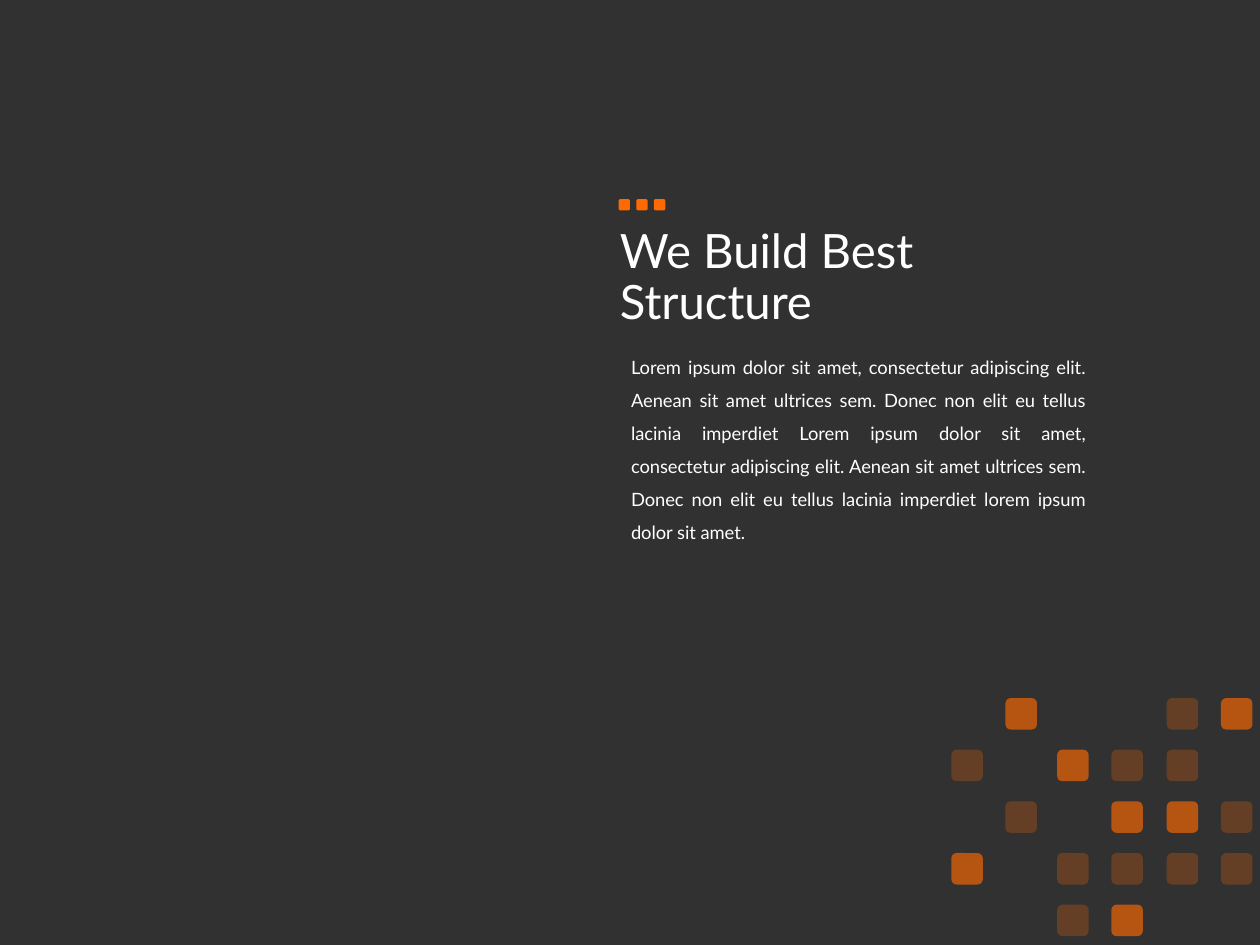
"""Build a dark slide with a heading, a paragraph and a pattern of orange tiles."""
from dataclasses import dataclass

import pptx
import pptx.dml.color
import pptx.enum.shapes
import pptx.enum.text
import pptx.oxml
import pptx.oxml.ns
import pptx.util

Inches = pptx.util.Inches
PP_ALIGN = pptx.enum.text.PP_ALIGN
MSO_ANCHOR = pptx.enum.text.MSO_ANCHOR
MSO_AUTO_SIZE = pptx.enum.text.MSO_AUTO_SIZE


@dataclass(frozen=True)
class Theme:
    background: str = "313131"
    accent: str = "FE6902"
    text: str = "FFFFFF"
    font: str = "Lato"
    title_size: float = 27
    body_size: float = 10.5


THEME = Theme()
TITLE = "We Build Best \vStructure"
BODY = (
    "Lorem ipsum dolor sit amet, consectetur adipiscing elit. Aenean sit amet "
    "ultrices sem. Donec non elit eu tellus lacinia imperdiet Lorem ipsum dolor "
    "sit amet, consectetur adipiscing elit. Aenean sit amet ultrices sem. Donec "
    "non elit eu tellus lacinia imperdiet lorem ipsum dolor sit amet."
)
TILE_ROWS = (".#..-#", "-.#--.", ".-.##-", "#.----", "..-#..")
TILE_OPACITY = {"#": 65, "-": 25}
TILE_COLUMNS = (7.55, 7.98, 8.39, 8.82, 9.26, 9.69)
TILE_TOP, TILE_STEP, TILE_SIZE = 5.54, 0.41, 0.25
DOT_LEFT, DOT_TOP, DOT_STEP, DOT_SIZE = 4.91, 1.58, 0.14, 0.09


def rgb(color):
    return pptx.dml.color.RGBColor.from_string(color)


def place(sp, left, top, width, height):
    sp.left, sp.top = Inches(left), Inches(top)
    sp.width, sp.height = Inches(width), Inches(height)


def write_text(sp, text, size, align=PP_ALIGN.LEFT, spacing=1.0,
               anchor=MSO_ANCHOR.TOP, auto_size=MSO_AUTO_SIZE.NONE):
    tf = sp.text_frame
    tf.word_wrap = True
    tf.auto_size = auto_size
    tf.vertical_anchor = anchor
    p = tf.paragraphs[0]
    p.text = text
    p.alignment = align
    p.line_spacing = spacing
    for r in p.runs:
        r.font.name = THEME.font
        r.font.size = pptx.util.Pt(size)
        r.font.color.rgb = rgb(THEME.text)


def add_square(group, left, top, size, opacity=100):
    sp = group.shapes.add_shape(
        pptx.enum.shapes.MSO_SHAPE.ROUNDED_RECTANGLE,
        Inches(left), Inches(top), Inches(size), Inches(size))
    sp.shadow.inherit = False
    sp.line.fill.background()
    sp.fill.solid()
    sp.fill.fore_color.rgb = rgb(THEME.accent)
    if opacity < 100:
        color = sp.fill._xPr.find(".//" + pptx.oxml.ns.qn("a:srgbClr"))
        alpha = pptx.oxml.parse_xml(
            f'<a:alpha {pptx.oxml.ns.nsdecls("a")} val="{opacity * 1000}"/>')
        color.append(alpha)


def add_tiles(s):
    group = s.shapes.add_group_shape()
    for row, marks in enumerate(TILE_ROWS):
        for left, mark in zip(TILE_COLUMNS, marks):
            if mark in TILE_OPACITY:
                add_square(group, left, TILE_TOP + row * TILE_STEP, TILE_SIZE,
                           TILE_OPACITY[mark])


def add_dots(s):
    group = s.shapes.add_group_shape()
    for i in range(3):
        add_square(group, DOT_LEFT + i * DOT_STEP, DOT_TOP, DOT_SIZE)


def add_title(s):
    sp = s.shapes.title
    place(sp, 4.82, 1.49, 8.62, 1.45)
    write_text(sp, TITLE, THEME.title_size, spacing=0.9, anchor=MSO_ANCHOR.MIDDLE)


def add_body(s):
    sp = s.shapes.add_textbox(0, 0, 0, 0)
    place(sp, 4.91, 2.69, 3.81, 1.66)
    write_text(sp, BODY, THEME.body_size, align=PP_ALIGN.JUSTIFY, spacing=1.5,
               auto_size=MSO_AUTO_SIZE.SHAPE_TO_FIT_TEXT)


def main():
    prs = pptx.Presentation()
    prs.slide_width, prs.slide_height = Inches(10), Inches(7.5)
    s = prs.slides.add_slide(prs.slide_layouts.get_by_name("Title Only"))
    s.background.fill.solid()
    s.background.fill.fore_color.rgb = rgb(THEME.background)
    add_tiles(s)
    add_title(s)
    add_body(s)
    add_dots(s)
    prs.save("out.pptx")


if __name__ == "__main__":
    main()
